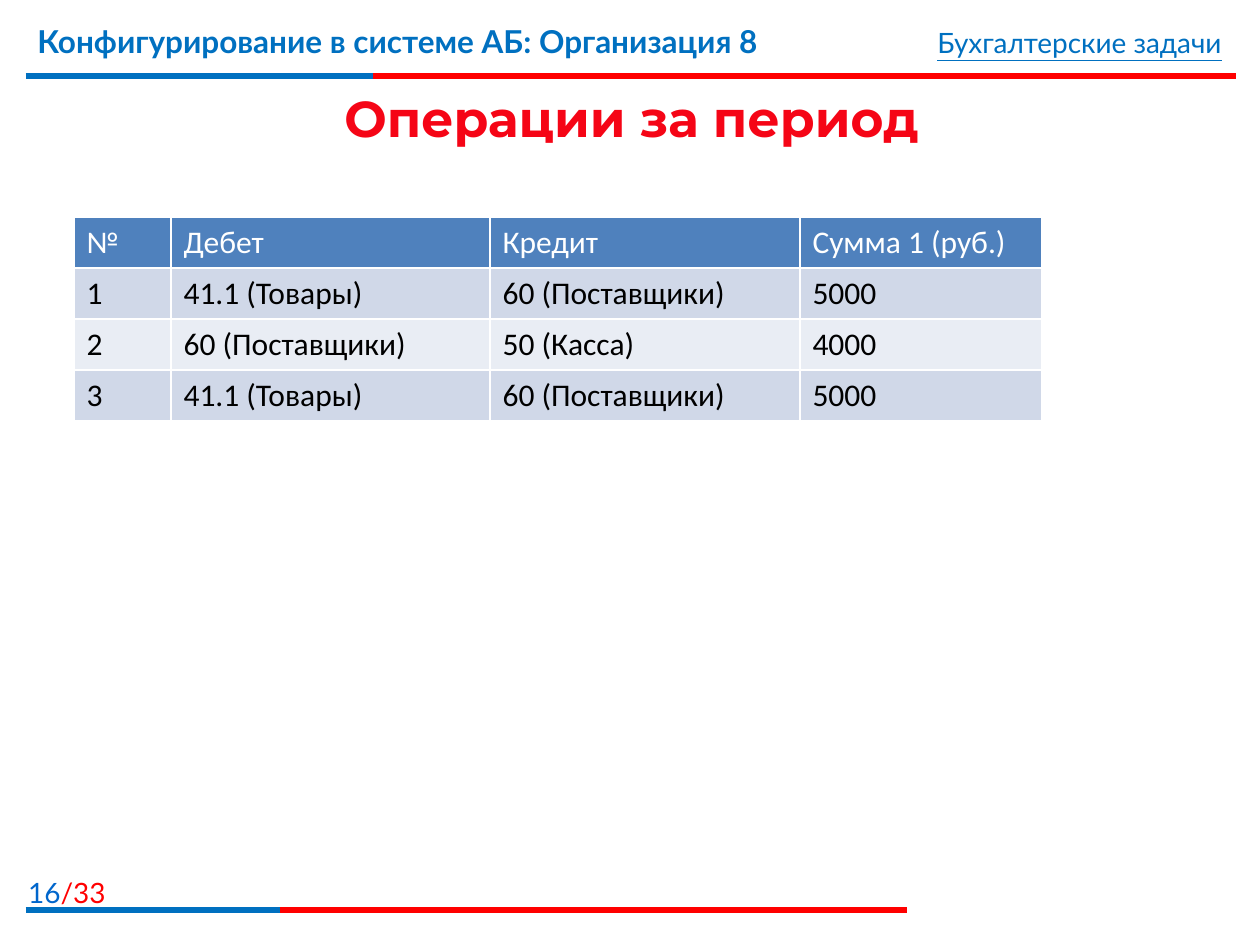
from dataclasses import dataclass

from lxml.etree import SubElement
from pptx import Presentation
from pptx.dml.color import RGBColor
from pptx.enum.shapes import MSO_CONNECTOR
from pptx.enum.text import MSO_ANCHOR, PP_ALIGN
from pptx.oxml.ns import qn
from pptx.slide import Slide
from pptx.table import _Cell
from pptx.util import Emu, Pt

SCALE = 914400 / 126

WHITE = RGBColor(0xFF, 0xFF, 0xFF)
BLACK = RGBColor(0, 0, 0)
RED = RGBColor(0xFF, 0, 0)
BLUE = RGBColor(0, 0x70, 0xC0)
PAGE = RGBColor(0, 0x66, 0xCC)
TITLE = RGBColor(0xF5, 0x05, 0x16)
HEAD = RGBColor(0x4F, 0x81, 0xBD)
BANDS = (RGBColor(0xE9, 0xED, 0xF4), RGBColor(0xD0, 0xD8, 0xE8))


@dataclass
class Rule:
    top: int
    split: int
    end: int


@dataclass
class Label:
    left: int
    top: int
    width: int
    height: int
    runs: list[tuple[str, RGBColor]]
    size: float
    align: PP_ALIGN = PP_ALIGN.LEFT
    face: str = "Lato"
    bold: bool = False
    under: bool = False
    anchor: MSO_ANCHOR = MSO_ANCHOR.TOP


RULES = [Rule(76, 373, 1236), Rule(910, 280, 907)]
LABELS = [
    Label(0, 869, 118, 40, [("16", PAGE), ("/33", RED)], 16, PP_ALIGN.RIGHT),
    Label(25, 16, 932, 78,
          [("Конфигурирование в системе АБ: Организация 8", BLUE)], 18, bold=True),
    Label(748, 19, 486, 47, [("Бухгалтерские задачи", BLUE)], 16,
          PP_ALIGN.RIGHT, under=True),
    Label(26, 79, 1211, 76, [("Операции за период", TITLE)], 28.8,
          PP_ALIGN.CENTER, "Montserrat", True, anchor=MSO_ANCHOR.MIDDLE),
]
COLS = [97, 319, 310, 242]
ROW = 51
ROWS = [
    ("№", "Дебет", "Кредит", "Сумма 1 (руб.)"),
    ("1", "41.1 (Товары)", "60 (Поставщики)", "5000"),
    ("2", "60 (Поставщики)", "50 (Касса)", "4000"),
    ("3", "41.1 (Товары)", "60 (Поставщики)", "5000"),
]


def px(count: int) -> Emu:
    return Emu(round(count * SCALE))


def draw_rule(slide: Slide, rule: Rule) -> None:
    for end, color in ((rule.end, RED), (rule.split, BLUE)):
        line = slide.shapes.add_connector(
            MSO_CONNECTOR.STRAIGHT, px(26), px(rule.top), px(end), px(rule.top))
        line.line.color.rgb = color
        line.line.width = Pt(3)
        SubElement(line._element.spPr, qn("a:effectLst"))


def draw_label(slide: Slide, label: Label) -> None:
    box = slide.shapes.add_textbox(
        px(label.left), px(label.top), px(label.width), px(label.height))
    frame = box.text_frame
    frame.word_wrap = True
    frame.vertical_anchor = label.anchor
    para = frame.paragraphs[0]
    para.alignment = label.align
    font = para.font
    font.name = label.face
    font.size = Pt(label.size)
    font.bold = label.bold
    font.underline = label.under
    for text, color in label.runs:
        run = para.add_run()
        run.text = text
        run.font.color.rgb = color


def edge_cell(cell: _Cell) -> None:
    props = cell._tc.get_or_add_tcPr()
    for spot, side in enumerate(("lnL", "lnR", "lnT", "lnB")):
        line = props.makeelement(qn(f"a:{side}"), {"w": str(Pt(1))})
        fill = SubElement(line, qn("a:solidFill"))
        SubElement(fill, qn("a:srgbClr"), val=str(WHITE))
        props.insert(spot, line)


def draw_table(slide: Slide) -> None:
    table = slide.shapes.add_table(
        len(ROWS), len(COLS), px(74), px(217),
        px(sum(COLS)), px(ROW * len(ROWS))).table
    for col, width in zip(table.columns, COLS):
        col.width = px(width)
    for i, texts in enumerate(ROWS):
        table.rows[i].height = px(ROW)
        for j, text in enumerate(texts):
            cell = table.cell(i, j)
            cell.text = text
            cell.fill.solid()
            cell.fill.fore_color.rgb = BANDS[i % 2] if i else HEAD
            font = cell.text_frame.paragraphs[0].font
            font.name = "Calibri"
            font.size = Pt(18)
            font.bold = False
            font.color.rgb = BLACK if i else WHITE
            edge_cell(cell)


def main() -> None:
    deck = Presentation()
    deck.slide_width = px(1260)
    deck.slide_height = px(945)
    slide = deck.slides.add_slide(deck.slide_layouts[6])
    for rule in RULES:
        draw_rule(slide, rule)
    for label in LABELS:
        draw_label(slide, label)
    draw_table(slide)
    deck.save("out.pptx")


if __name__ == "__main__":
    main()
